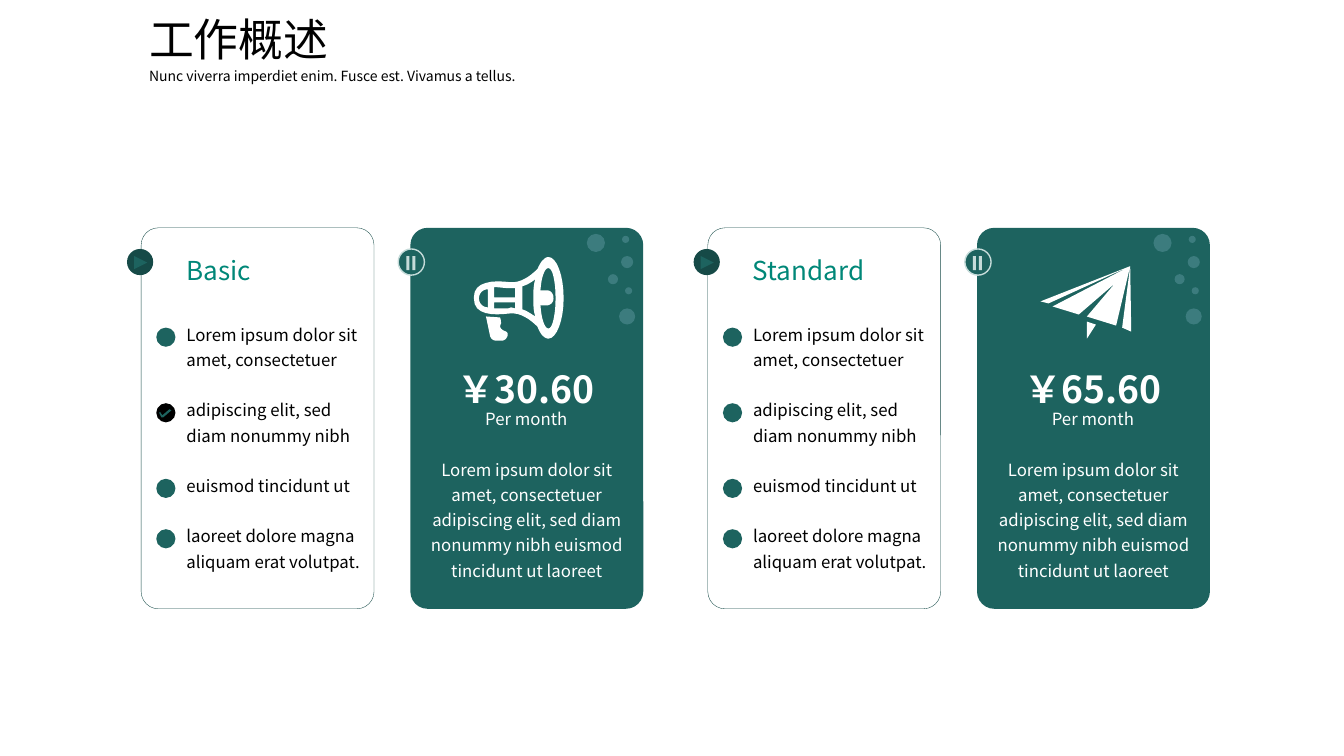
from dataclasses import dataclass

from lxml.etree import SubElement
from pptx import Presentation
from pptx.dml.color import RGBColor
from pptx.enum.shapes import MSO_SHAPE as Preset
from pptx.enum.text import MSO_ANCHOR as Anchor, MSO_AUTO_SIZE as AutoSize, PP_ALIGN as Align
from pptx.oxml.ns import qn
from pptx.util import Inches, Pt


@dataclass(frozen=True)
class Theme:
    """Colours, font and type sizes of the slide."""
    font: str = "Noto Sans CJK SC"
    teal: str = "1D635F"
    deep: str = "164A47"
    pale: str = "C5DBD9"
    bubble: str = "3C7C7E"
    accent: str = "008778"
    ink: str = "000000"
    paper: str = "FFFFFF"
    title: float = 32
    price: float = 26.6
    plan: float = 18.6
    body: float = 12
    subtitle: float = 10


THEME = Theme()
CARD_W, CARD_H = 2.31, 3.78
LINE_PITCH = 0.25

FEATURES = [
    ("Lorem ipsum dolor sit amet, consectetuer", 2),
    ("adipiscing elit, sed diam nonummy nibh", 2),
    ("euismod tincidunt ut", 1),
    ("laoreet dolore magna aliquam erat volutpat.", 2),
]
SUMMARY = ("Lorem ipsum dolor sit amet, consectetuer adipiscing elit, "
           "sed diam nonummy nibh euismod tincidunt ut laoreet")
BUBBLES = [(1.75, 0.06, 0.18), (2.13, 0.59, 0.07), (1.96, 0.46, 0.1),
           (2.09, 0.28, 0.12), (2.1, 0.08, 0.07), (2.07, 0.8, 0.16)]

TICK = [[(6, 14), (5, 14), (3, 10), (3, 9), (4, 9), (6, 12),
         (13, 6), (15, 7), (14, 8), (7, 14)]]
PLANE = [
    [(46, 72), (55, 58), (46, 55)],
    [(38, 48), (74, 17), (46, 50), (75, 59), (89, 0), (12, 40)],
    [(8, 37), (89, 0), (0, 35)],
    [(90, 65), (89, 0), (81, 61)],
]
MEGAPHONE = [
    [(32, 74), (26, 72, 25, 69, 27, 66), (27, 65, 27, 63, 26, 60), (12, 59),
     (16, 78), (16, 78, 17, 83, 22, 83), (28, 83), (32, 83, 36, 76, 32, 74)],
    [(74, 0), (70, 0, 66, 5, 63, 12), (56, 19, 46, 26, 36, 25),
     (19, 23, 0, 24, 0, 40), (0, 41), (0, 58, 19, 58, 36, 56),
     (46, 55, 56, 62, 63, 69), (66, 77, 70, 81, 74, 81),
     (82, 81, 89, 63, 89, 41), (89, 18, 82, 0, 74, 0)],
    [(14, 50), (9, 50, 5, 46, 5, 41), (5, 36, 9, 32, 14, 32)],
    [(41, 51), (37, 50), (34, 51), (20, 51), (20, 45), (41, 45)],
    [(41, 40), (20, 40), (20, 30), (23, 30), (34, 31), (41, 31)],
    [(61, 59), (56, 56, 52, 53, 48, 52), (48, 29), (52, 28, 56, 26, 61, 22),
     (59, 28, 59, 34, 59, 41), (59, 47, 59, 54, 61, 59)],
    [(74, 71), (70, 71, 67, 61, 66, 48), (72, 48), (76, 48, 79, 45, 79, 41),
     (79, 36, 76, 33, 72, 33), (66, 33), (67, 20, 70, 11, 74, 11),
     (78, 11, 81, 24, 81, 41), (81, 57, 78, 71, 74, 71)],
]


def paint(shape, fill=None, line=None, weight=1):
    """Set fill and outline, and drop the shadow."""
    shape.shadow.inherit = False
    if fill:
        shape.fill.solid()
        shape.fill.fore_color.rgb = RGBColor.from_string(fill)
    else:
        shape.fill.background()
    if line:
        shape.line.color.rgb = RGBColor.from_string(line)
        shape.line.width = Pt(weight)
    else:
        shape.line.fill.background()
    return shape


def add_preset(slide, preset, x, y, w, h, **look):
    """Add a painted preset shape."""
    box = [Inches(length) for length in (x, y, w, h)]
    return paint(slide.shapes.add_shape(preset, *box), **look)


def add_text(slide, text, x, y, w, h, *, size, color, bold=False, align=Align.LEFT,
             anchor=Anchor.TOP, spacing=None, gap=0):
    """Add a text box with one paragraph per line of text."""
    box = slide.shapes.add_textbox(Inches(x), Inches(y), Inches(w), Inches(h))
    frame = box.text_frame
    frame.word_wrap = True
    frame.auto_size = AutoSize.SHAPE_TO_FIT_TEXT
    frame.vertical_anchor = anchor
    for index, line in enumerate(text.split("\n")):
        paragraph = frame.add_paragraph() if index else frame.paragraphs[0]
        paragraph.alignment = align
        paragraph.line_spacing = spacing
        if index:
            paragraph.space_before = Pt(gap)
        run = paragraph.add_run()
        run.text = line
        run.font.size = Pt(size)
        run.font.bold = bold
        run.font.color.rgb = RGBColor.from_string(color)
        run.font.name = THEME.font
        SubElement(run.font._element, qn("a:ea"), typeface=THEME.font)


def flatten(contour, steps=8):
    """Turn a contour of points and cubic curves into tenfold-scaled points."""
    points = [contour[0]]
    for piece in contour[1:]:
        if len(piece) == 2:
            points.append(piece)
            continue
        nodes = [points[-1], piece[:2], piece[2:4], piece[4:]]
        for step in range(1, steps + 1):
            t = step / steps
            weights = ((1 - t) ** 3, 3 * t * (1 - t) ** 2, 3 * t * t * (1 - t), t ** 3)
            points.append(tuple(sum(k * node[axis] for k, node in zip(weights, nodes))
                                for axis in (0, 1)))
    return [(10 * px, 10 * py) for px, py in points]


def add_icon(slide, contours, x, y, fill):
    """Add an outline given in hundredths of an inch from x, y."""
    first, *others = [flatten(contour) for contour in contours]
    builder = slide.shapes.build_freeform(*first[0], scale=Inches(1) / 1000)
    builder.add_line_segments(first[1:])
    for points in others:
        builder.move_to(*points[0])
        builder.add_line_segments(points[1:])
    paint(builder.convert_to_shape(Inches(x), Inches(y)), fill=fill)


def add_card(slide, x, y, **look):
    """Add the rounded panel of a card."""
    panel = add_preset(slide, Preset.ROUNDED_RECTANGLE, x, y, CARD_W, CARD_H, **look)
    panel.adjustments[0] = 0.074


def add_feature_card(slide, x, y, plan, dark_dot=None):
    """Add the outlined card with plan name, ticked features and play badge."""
    add_text(slide, plan, x + 0.35, y + 0.14, 1.9, 0.44, size=THEME.plan,
             color=THEME.accent, spacing=1.25)
    add_card(slide, x, y, line=THEME.deep, weight=0.25)
    add_text(slide, "\n".join(feature for feature, _ in FEATURES), x + 0.35, y + 0.86,
             1.95, 2.63, size=THEME.body, color=THEME.ink, spacing=1.25,
             gap=72 * LINE_PITCH)
    dot_y = y + 0.99
    for index, (_, lines) in enumerate(FEATURES):
        add_preset(slide, Preset.OVAL, x + 0.15, dot_y, 0.19, 0.19,
                   fill=THEME.ink if index == dark_dot else THEME.teal)
        add_icon(slide, TICK, x + 0.15, dot_y, THEME.teal)
        dot_y += (lines + 1) * LINE_PITCH
    add_preset(slide, Preset.OVAL, x - 0.14, y + 0.21, 0.26, 0.26, fill=THEME.deep)
    play = add_preset(slide, Preset.ISOSCELES_TRIANGLE, x - 0.07, y + 0.28, 0.13, 0.13,
                      fill=THEME.teal)
    play.rotation = 90


def add_price_card(slide, x, y, price, icon, icon_x, icon_y):
    """Add the filled card with icon, price, summary, bubbles and pause badge."""
    white = dict(color=THEME.paper, align=Align.CENTER)
    add_card(slide, x, y, fill=THEME.teal)
    add_text(slide, SUMMARY, x + 0.01, y + 2.2, 2.29, 1.09, size=THEME.body,
             spacing=1.25, **white)
    add_text(slide, price, x + 0.16, y + 1.27, 1.98, 0.57, size=THEME.price, bold=True,
             anchor=Anchor.MIDDLE, spacing=1.2, **white)
    add_text(slide, "Per month", x + 0.2, y + 1.7, 1.9, 0.32, size=THEME.body,
             spacing=1.25, **white)
    add_preset(slide, Preset.OVAL, x - 0.12, y + 0.21, 0.26, 0.26, fill=THEME.teal,
               line=THEME.pale)
    for bar_x in (-0.04, 0.02):
        add_preset(slide, Preset.RECTANGLE, x + bar_x, y + 0.28, 0.03, 0.14,
                   fill=THEME.pale)
    add_icon(slide, icon, x + icon_x, y + icon_y, THEME.paper)
    for dx, dy, size in BUBBLES:
        add_preset(slide, Preset.OVAL, x + dx, y + dy, size, size, fill=THEME.bubble)


def add_heading(slide, x, y):
    """Add the title and its subtitle."""
    add_text(slide, "工作概述", x, y, 2.49, 0.64, size=THEME.title, color=THEME.ink)
    add_text(slide, "Nunc viverra imperdiet enim. Fusce est. Vivamus a tellus.",
             x, y + 0.55, 4.03, 0.27, size=THEME.subtitle, color=THEME.ink)


def main():
    """Build the slide and save it."""
    deck = Presentation()
    deck.slide_width, deck.slide_height = Inches(13.33), Inches(7.5)
    slide = deck.slides.add_slide(deck.slide_layouts[6])
    plans = [("Basic", 1, "￥30.60", MEGAPHONE, 0.63, 0.29),
             ("Standard", None, "￥65.60", PLANE, 0.63, 0.38)]
    for index, (plan, dark_dot, *offer) in enumerate(plans):
        x = 1.4 + 5.62 * index
        add_price_card(slide, x + 2.67, 2.26, *offer)
        add_feature_card(slide, x, 2.26, plan, dark_dot)
    add_heading(slide, 1.38, 0.07)
    deck.save("out.pptx")


if __name__ == "__main__":
    main()
